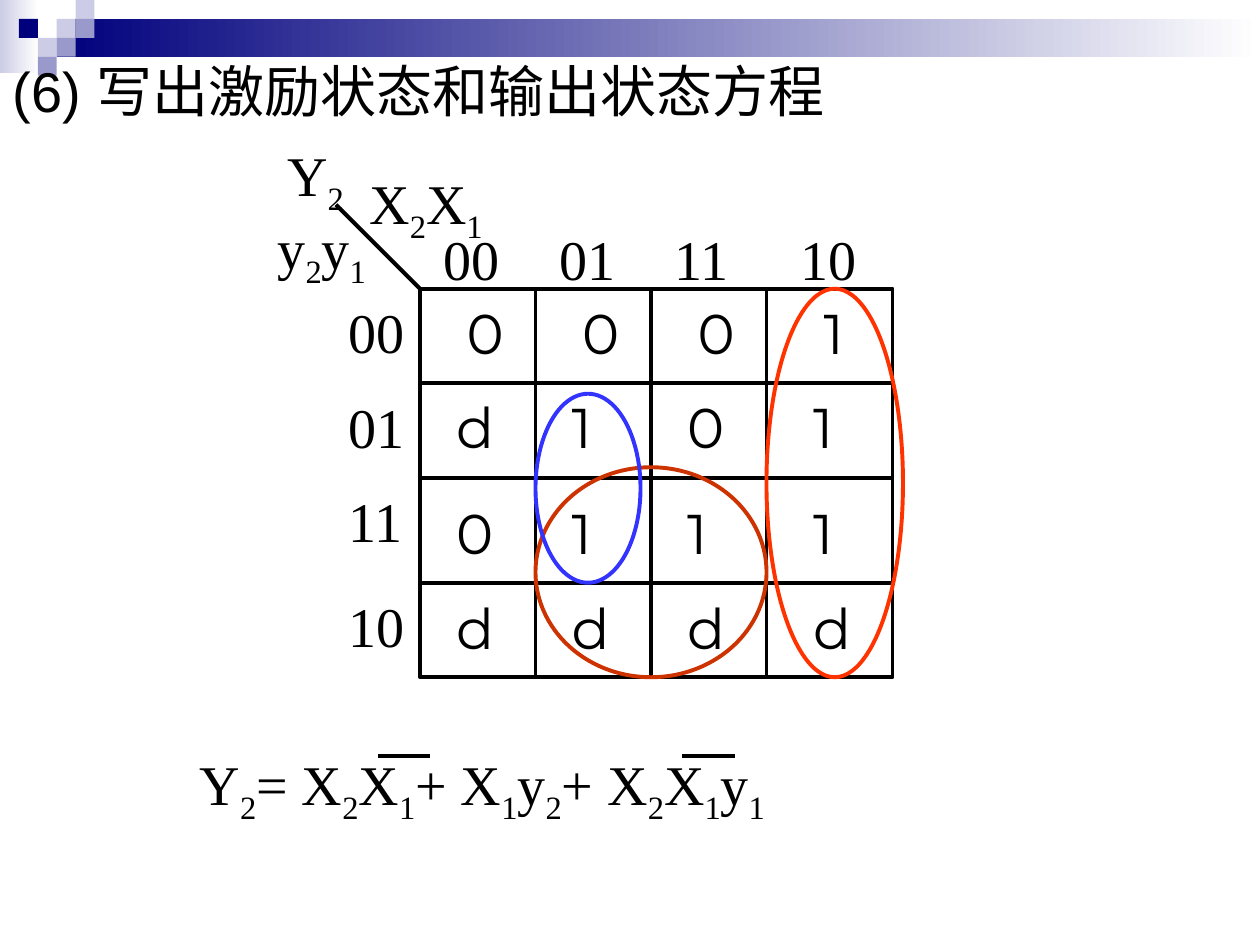
from dataclasses import dataclass

from lxml.etree import SubElement
from pptx import Presentation
from pptx.dml.color import RGBColor
from pptx.enum.shapes import MSO_CONNECTOR as Link, MSO_SHAPE as Kind
from pptx.oxml.ns import qn
from pptx.util import Pt


@dataclass(frozen=True)
class Theme:
    ink: str = "000000"
    white: str = "FFFFFF"
    navy: str = "00007D"
    mid: str = "9999CC"
    pale: str = "CCCCE6"
    red: str = "FF3300"
    rust: str = "CC3300"
    blue: str = "3333FF"
    size: float = 32
    line: float = 2.25
    head: str = "Arial"
    math: str = "Times New Roman"
    cell: str = "Montserrat"


THEME = Theme()
COLS = [0, 66, 132, 198]
ROWS = [0, 54, 108, 168]
MIDS = [30, 96, 162, 234]
CODES = ["00", "01", "11", "10"]
VALUES = ["0001", "d101", "0111", "dddd"]


def rgb(code):
    return RGBColor.from_string(code)


def write(slide, text, x, y, w, h, font=THEME.math):
    """Add a text box; the character after each "_" is a subscript."""
    frame = slide.shapes.add_textbox(Pt(x), Pt(y), Pt(w), Pt(h)).text_frame
    frame.word_wrap = True
    para = frame.paragraphs[0]

    def add(part, low=False):
        if not part:
            return
        run = para.add_run()
        run.text = part
        run.font.name = font
        run.font.size = Pt(THEME.size)
        run.font.color.rgb = rgb(THEME.ink)
        if low:
            run.font._element.set("baseline", "-25000")

    first, *rest = text.split("_")
    add(first)
    for part in rest:
        add(part[0], low=True)
        add(part[1:])


def draw(slide, kind, x, y, w, h, fill=None, fade=None, line=None):
    """Add a shape; fade is the colour its fill runs to on the right."""
    shape = slide.shapes.add_shape(kind, Pt(x), Pt(y), Pt(w), Pt(h))
    shape.shadow.inherit = False
    if fade:
        shape.fill.gradient()
        shape.fill.gradient_angle = 0
        for stop, code in zip(shape.fill.gradient_stops, (fill, fade)):
            stop.color.rgb = rgb(code)
    elif fill:
        shape.fill.solid()
        shape.fill.fore_color.rgb = rgb(fill)
    else:
        shape.fill.background()
    if line:
        shape.line.color.rgb = rgb(line)
        shape.line.width = Pt(THEME.line)
    else:
        shape.line.fill.background()


def rule(slide, x1, y1, x2, y2):
    line = slide.shapes.add_connector(
        Link.STRAIGHT, Pt(x1), Pt(y1), Pt(x2), Pt(y2))
    line.line.color.rgb = rgb(THEME.ink)
    line.line.width = Pt(THEME.line)
    SubElement(line._element.spPr, qn("a:effectLst"))


def banner(slide, x, y, w, unit):
    """Draw the fading top bar and the small squares at its left end."""
    draw(slide, Kind.RECTANGLE, x, y, 22, 42, THEME.pale, THEME.white)
    draw(slide, Kind.RECTANGLE, x + 3 * unit, y + unit, w - 3 * unit,
         2 * unit, THEME.navy, THEME.white)
    tiles = [(3, 1, THEME.pale), (4, 0, THEME.pale), (4, 1, THEME.mid),
             (2, 2, THEME.pale), (1, 1, THEME.navy), (3, 2, THEME.mid),
             (2, 3, THEME.mid)]
    for col, row, fill in tiles:
        draw(slide, Kind.RECTANGLE, x + col * unit, y + row * unit,
             unit, unit, fill)


def grid(slide, x, y, w, h):
    """Draw the Karnaugh map frame with its corner labels and codes."""
    draw(slide, Kind.RECTANGLE, x, y, w, h, line=THEME.ink)
    for row in ROWS[1:]:
        rule(slide, x, y + row, x + w, y + row)
    for col in COLS[1:]:
        rule(slide, x + col, y, x + col, y + h)
    rule(slide, x, y, x - 48, y - 48)
    write(slide, "Y_2", x - 83, y - 88.5, 48, 51)
    write(slide, "y_2y_1", x - 88.5, y - 46.5, 67, 51)
    write(slide, "X_2X_1", x - 36, y - 72, 138, 51)
    for code, mid, row in zip(CODES, MIDS, ROWS):
        write(slide, code, x + mid - 23.5, y - 40.5, 48, 46)
        write(slide, code, x - 48, y + row + 1.5, 48, 46)


def cells(slide, x, y):
    """Write the map values; the first and third rows sit off the rule."""
    shifts = [(6, 2), (0, 2), (0, 8.5), (0, 2.5)]
    for row, line, (dx, dy) in zip(ROWS, VALUES, shifts):
        for mid, value in zip(MIDS, line):
            write(slide, value, x + mid - 16.5 + dx, y + row + dy, 34, 46,
                  font=THEME.cell)


def loops(slide, x, y):
    """Ring the groups of ones."""
    rings = [(COLS[3], 0, 78, 222, THEME.red),
             (COLS[1], 102, 132, 120, THEME.rust),
             (COLS[1], 60, 60, 108, THEME.blue)]
    for dx, dy, w, h, code in rings:
        draw(slide, Kind.OVAL, x + dx, y + dy, w, h, line=code)


def result(slide, x, y, w, h):
    """Write the equation with bars over the inverted inputs."""
    for dx in (109, 283):
        rule(slide, x + dx, y + 7, x + dx + 30, y + 7)
    write(slide, "Y_2= X_2X_1+ X_1y_2+ X_2X_1y_1", x, y, w, h)


def main():
    deck = Presentation()
    deck.slide_width, deck.slide_height = Pt(720), Pt(540)
    slide = deck.slides.add_slide(deck.slide_layouts[6])
    banner(slide, 0, 0, 720, 10.8)
    write(slide, "(6) 写出激励状态和输出状态方程", 0, 29, 702, 522,
          font=THEME.head)
    grid(slide, 240, 165, 270, 222)
    cells(slide, 240, 165)
    loops(slide, 240, 165)
    result(slide, 107, 425, 345, 51)
    deck.save("out.pptx")


if __name__ == "__main__":
    main()
